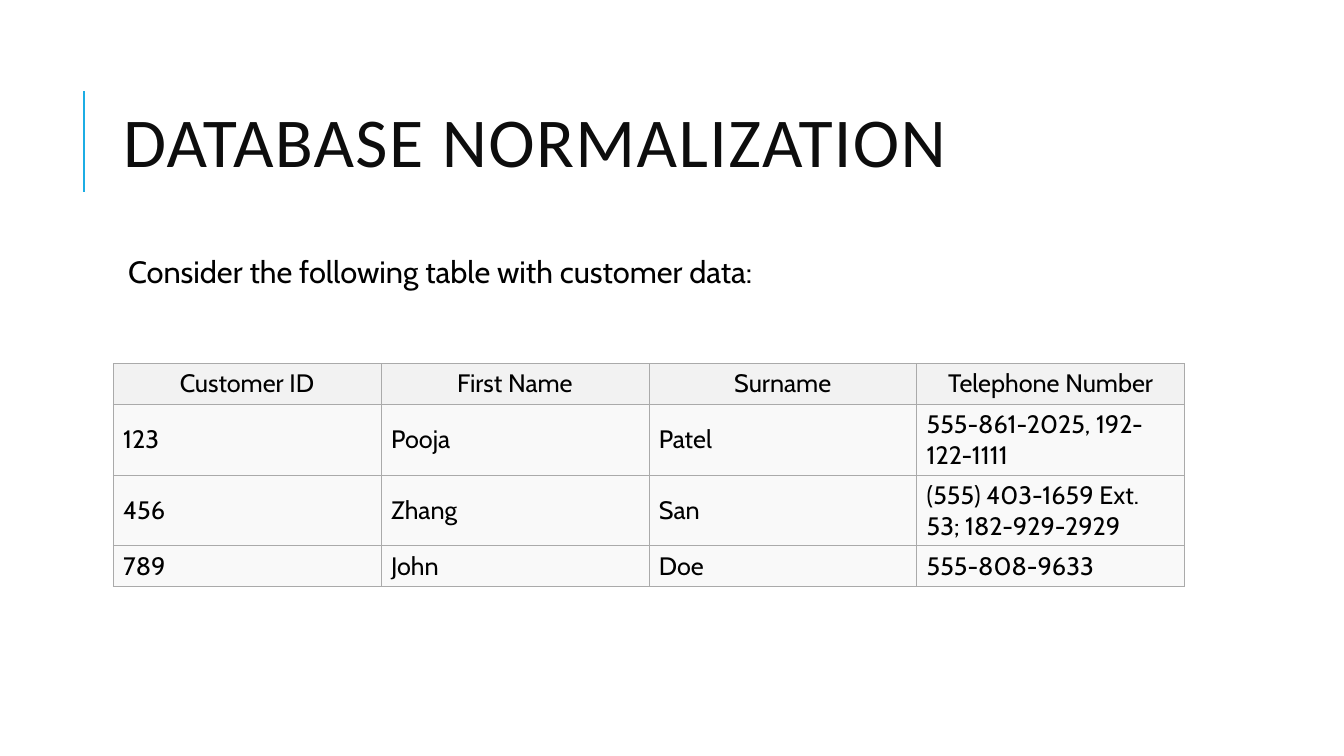
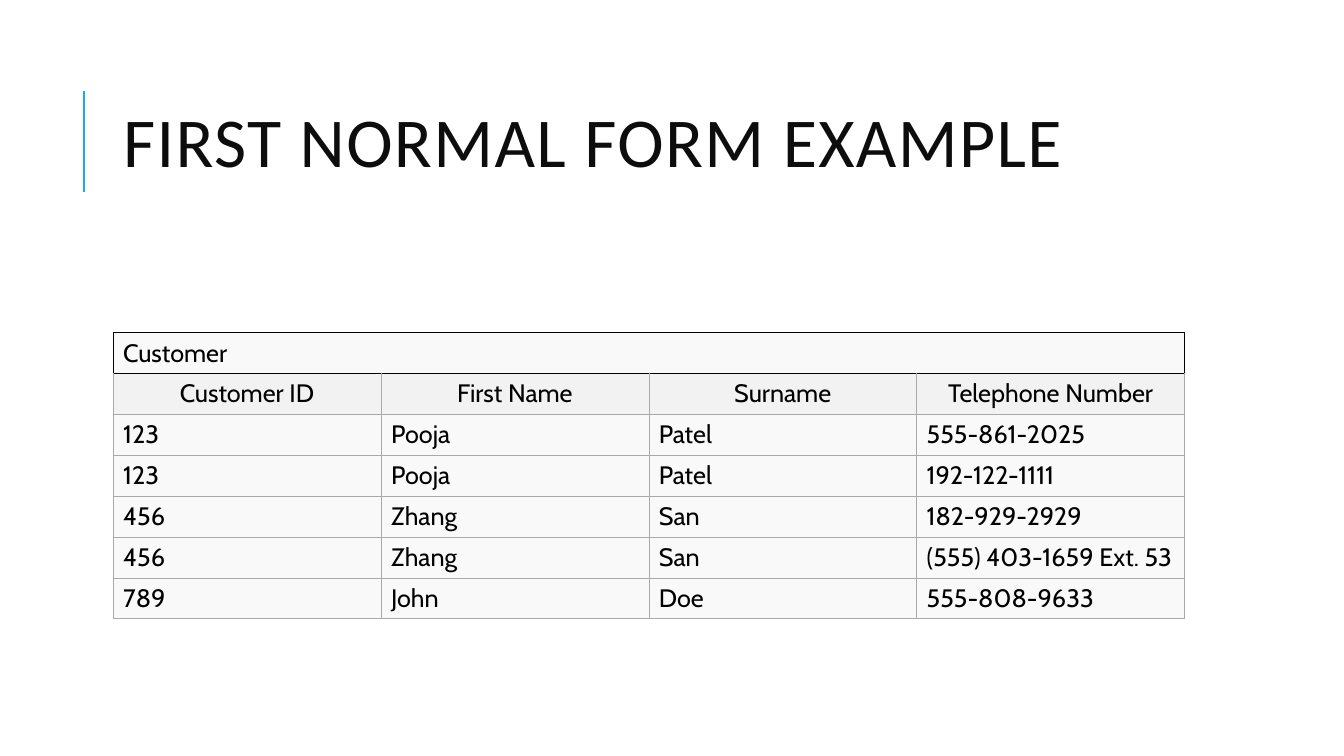
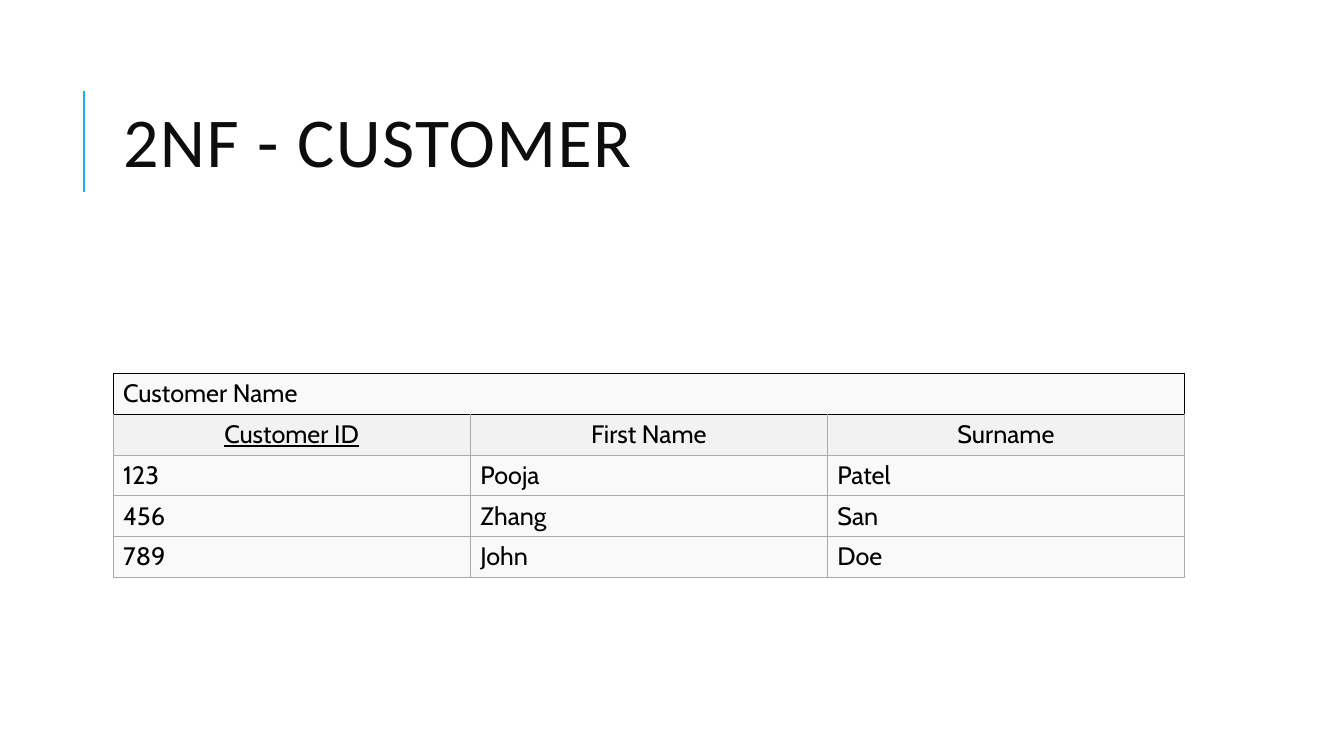
from lxml.etree import SubElement
from pptx import Presentation
from pptx.dml.color import RGBColor
from pptx.enum.shapes import MSO_CONNECTOR as CONN
from pptx.enum.text import MSO_ANCHOR as ANCHOR, MSO_AUTO_SIZE as AUTO, PP_ALIGN as ALIGN
from pptx.oxml.ns import qn
from pptx.util import Cm, Pt

# Shared style
ACCENT, TITLE_INK, INK = "1CADE4", "0D0D0D", "000000"
GRID, HEAD_FILL, ROW_FILL = "AAAAAA", "F2F2F2", "F9F9F9"
TITLE_FONT, BODY_FONT = "Calibri", "Cabin"
BORDER_WIDTH = Pt(0.38)

# Shared places, in cm
LEFT, WIDTH = 2.85, 27
TITLE_BOX = (LEFT, 1.63, WIDTH, 4.17)
INTRO_BOX = (LEFT, 6.35, WIDTH, 1.5)
ROW_HEIGHT = 1.03


def rgb(color):
    return RGBColor.from_string(color)


def style_run(r, font, size, color):
    r.font.name, r.font.size = font, Pt(size)
    r.font.color.rgb = rgb(color)


def add_title(s, box, text):
    left, top, width, height = box
    sp = s.shapes.title
    sp.left, sp.top, sp.width, sp.height = map(Cm, box)
    tf = sp.text_frame
    tf.text = text
    tf.word_wrap, tf.auto_size = True, AUTO.NONE
    tf.vertical_anchor = ANCHOR.MIDDLE
    p = tf.paragraphs[0]
    p.alignment, p.line_spacing = ALIGN.LEFT, 0.8
    r = p.runs[0]
    style_run(r, TITLE_FONT, 50, TITLE_INK)
    r.font._element.set("spc", "100")

    # Accent rule beside the title
    x = Cm(left - 0.73)
    rule = s.shapes.add_connector(CONN.STRAIGHT, x, Cm(top + 3.2), x, Cm(top + 0.66))
    rule.line.color.rgb, rule.line.width = rgb(ACCENT), Pt(1.5)
    SubElement(rule._element.spPr, qn("a:effectLst"))


def add_intro(s, box, text):
    tf = s.shapes.add_textbox(*map(Cm, box)).text_frame
    tf.text, tf.word_wrap = text, True
    tf.margin_left = Cm(0.38)
    tf.margin_top = tf.margin_right = tf.margin_bottom = Cm(0.13)
    p = tf.paragraphs[0]
    p.line_spacing, p.space_before, p.space_after = 0.9, Pt(12), Pt(2)
    style_run(p.runs[0], BODY_FONT, 22, INK)


def set_borders(cell, color, top_color):
    tc_pr = cell._tc.get_or_add_tcPr()
    for side in ("L", "R", "T", "B"):
        ln = SubElement(tc_pr, qn(f"a:ln{side}"), w=str(int(BORDER_WIDTH)))
        fill = SubElement(ln, qn("a:solidFill"))
        SubElement(fill, qn("a:srgbClr"), val=top_color if side == "T" else color)


def style_cell(cell, text, fill, align, border, top_border):
    set_borders(cell, border, top_border)
    cell.fill.solid()
    cell.fill.fore_color.rgb = rgb(fill)
    cell.vertical_anchor = ANCHOR.MIDDLE
    cell.text_frame.text = text
    p = cell.text_frame.paragraphs[0]
    p.alignment = align
    for r in p.runs:
        style_run(r, BODY_FONT, 18, INK)


def add_data_table(s, left, top, width, header, records, caption=None, key=None):
    """Optional caption row, header row, then one row per record."""
    cols = len(header)
    captions = [[caption] + [""] * (cols - 1)] if caption else []
    rows = captions + [header] + records
    head = len(captions)
    table = s.shapes.add_table(len(rows), cols, Cm(left), Cm(top), Cm(width),
                               Cm(ROW_HEIGHT * len(rows))).table
    table.first_row = table.horz_banding = False
    for col in table.columns:
        col.width = Cm(width / cols)
    for i, row in enumerate(rows):
        table.rows[i].height = Cm(ROW_HEIGHT)
        is_head = i == head
        border = INK if i < head else GRID
        top_border = INK if caption and i <= head else GRID
        for j, text in enumerate(row):
            cell = table.cell(i, j)
            style_cell(cell, text, HEAD_FILL if is_head else ROW_FILL,
                       ALIGN.CENTER if is_head else ALIGN.LEFT, border, top_border)
            if is_head and text == key:
                cell.text_frame.paragraphs[0].runs[0].font.underline = True
    if caption:
        table.cell(0, 0).merge(table.cell(0, cols - 1))


def add_table_slide(prs, title, top, header, records, intro=None, caption=None, key=None):
    s = prs.slides.add_slide(prs.slide_layouts[5])
    add_title(s, TITLE_BOX, title)
    if intro:
        add_intro(s, INTRO_BOX, intro)
    add_data_table(s, LEFT, top, WIDTH, header, records, caption, key)


# Customer data
NAME_HEADER = ["Customer ID", "First Name", "Surname"]
PHONE_HEADER = NAME_HEADER + ["Telephone Number"]
POOJA, ZHANG, JOHN = CUSTOMERS = [
    ["123", "Pooja", "Patel"],
    ["456", "Zhang", "San"],
    ["789", "John", "Doe"],
]

prs = Presentation()
prs.slide_width, prs.slide_height = Cm(33.87), Cm(19.05)

add_table_slide(
    prs, "DATABASE NORMALIZATION", 9.16, PHONE_HEADER,
    [POOJA + ["555-861-2025, 192-122-1111"],
     ZHANG + ["(555) 403-1659 Ext. 53; 182-929-2929"],
     JOHN + ["555-808-9633"]],
    intro="Consider the following table with customer data:")

add_table_slide(
    prs, "FIRST NORMAL FORM EXAMPLE", 8.38, PHONE_HEADER,
    [POOJA + ["555-861-2025"],
     POOJA + ["192-122-1111"],
     ZHANG + ["182-929-2929"],
     ZHANG + ["(555) 403-1659 Ext. 53"],
     JOHN + ["555-808-9633"]],
    caption="Customer")

add_table_slide(
    prs, "2NF - CUSTOMER", 9.4, NAME_HEADER, CUSTOMERS,
    caption="Customer Name", key="Customer ID")

prs.save("out.pptx")
